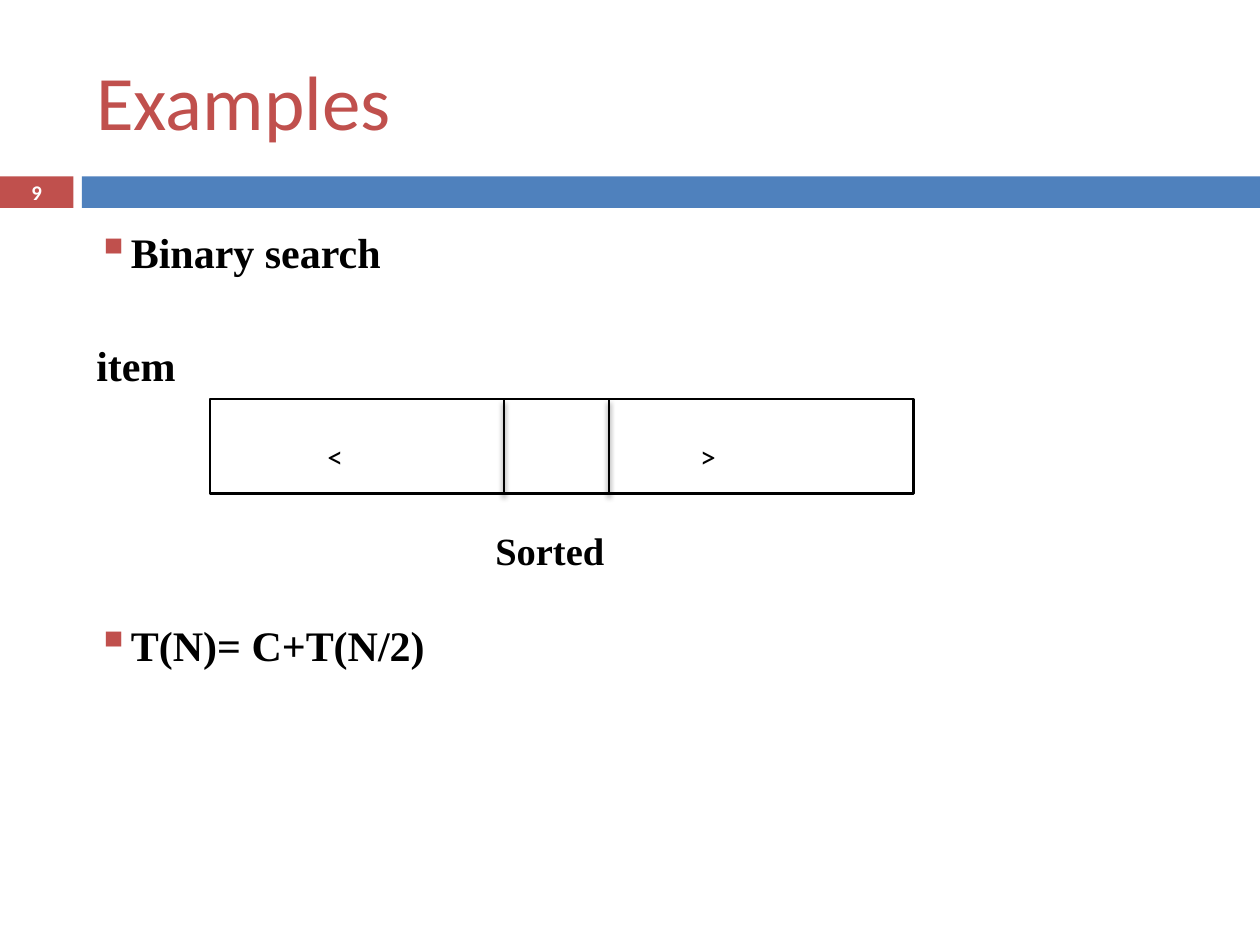
import pptx
import pptx.util
import pptx.dml.color
import pptx.enum.shapes
import pptx.enum.text
import pptx.oxml
import pptx.oxml.ns

Pt = pptx.util.Pt
RGBColor = pptx.dml.color.RGBColor
ANCHOR = pptx.enum.text.MSO_ANCHOR
ALIGN = pptx.enum.text.PP_ALIGN

RED = RGBColor(0xC0, 0x50, 0x4D)
BLUE = RGBColor(0x4F, 0x81, 0xBD)
BLACK = RGBColor(0, 0, 0)
WHITE = RGBColor(255, 255, 255)
SANS, SERIF = "Calibri", "Times New Roman"

# Content: body lines as (text, bulleted, space before)
BODY = [
    ("Binary search", True, 3),
    ("item", False, 35.8),
    ("T(N)= C+T(N/2)", True, 130.8),
]
# Labels as (text, area, size, font, colour, bold, anchor, alignment, wrap)
LABELS = [
    ("Examples", (48, 18, 642, 78), 44, SANS, RED, False, ANCHOR.MIDDLE, ALIGN.LEFT, True),
    ("<", (180, 246, 30, 29), 18, SANS, BLACK, False, ANCHOR.TOP, ALIGN.LEFT, True),
    (">", (393, 246, 30, 29), 18, SANS, BLACK, False, ANCHOR.TOP, ALIGN.LEFT, True),
    ("Sorted", (276, 297.5, 78, 34), 22, SERIF, BLACK, True, ANCHOR.TOP, ALIGN.LEFT, False),
    ("9", (0, 100, 42, 19.5), 11.9, SANS, WHITE, True, ANCHOR.MIDDLE, ALIGN.CENTER, True),
]
BARS = [((0, 100.8, 42, 18), RED), ((46.8, 100.8, 673.2, 18), BLUE)]
ARRAY = (120, 228, 402, 54)
MIDDLE_CELL = (288, 348)

NS = pptx.oxml.ns.nsdecls("a")
BULLET = (
    f'<a:buClr {NS}><a:srgbClr val="{RED}"/></a:buClr>',
    f'<a:buSzPct {NS} val="110000"/>',
    f'<a:buChar {NS} char="▪"/>',
)
SHADOW = (
    f'<a:effectLst {NS}><a:outerShdw blurRad="{Pt(3)}" dist="{Pt(2.4)}" dir="5400000" rotWithShape="0">'
    '<a:srgbClr val="000000"><a:alpha val="45000"/></a:srgbClr></a:outerShdw></a:effectLst>'
)


def points(values):
    return [Pt(value) for value in values]


def add_rectangle(page, area, fill, line=None):
    kind = pptx.enum.shapes.MSO_SHAPE.RECTANGLE
    box = page.shapes.add_shape(kind, *points(area))
    box.shadow.inherit = False
    box.fill.solid()
    box.fill.fore_color.rgb = fill
    if line is None:
        box.line.fill.background()
    else:
        box.line.color.rgb = line
        box.line.width = Pt(1.5)


def add_frame(page, area, wrap=True):
    frame = page.shapes.add_textbox(*points(area)).text_frame
    frame.word_wrap = wrap
    return frame


def add_span(para, text, size, font, color, bold):
    span = para.add_run()
    span.text = text
    span.font.size = Pt(size)
    span.font.name = font
    span.font.color.rgb = color
    span.font.bold = bold


deck = pptx.Presentation()
deck.slide_width, deck.slide_height = Pt(720), Pt(540)
page = deck.slides.add_slide(deck.slide_layouts[6])

# Header bars
for area, color in BARS:
    add_rectangle(page, area, color)

# Body text
frame = add_frame(page, (48, 126, 642, 354))
for index, (text, bulleted, space) in enumerate(BODY):
    para = frame.add_paragraph() if index else frame.paragraphs[0]
    para.space_before = Pt(space)
    if bulleted:
        properties = para._p.get_or_add_pPr()
        for part in BULLET:
            properties.append(pptx.oxml.parse_xml(part))
    add_span(para, text, 24, SERIF, BLACK, True)

# Sorted array with its middle cell
add_rectangle(page, ARRAY, WHITE, BLACK)
top, bottom = ARRAY[1], ARRAY[1] + ARRAY[3]
for x in MIDDLE_CELL:
    kind = pptx.enum.shapes.MSO_CONNECTOR.STRAIGHT
    divider = page.shapes.add_connector(kind, *points((x, top, x, bottom)))
    divider.line.color.rgb = BLACK
    divider.line.width = Pt(1.5)
    divider._element.spPr.append(pptx.oxml.parse_xml(SHADOW))

# Title, array labels and page number
for text, area, size, font, color, bold, anchor, align, wrap in LABELS:
    frame = add_frame(page, area, wrap)
    frame.vertical_anchor = anchor
    para = frame.paragraphs[0]
    para.alignment = align
    add_span(para, text, size, font, color, bold)

deck.save("out.pptx")
